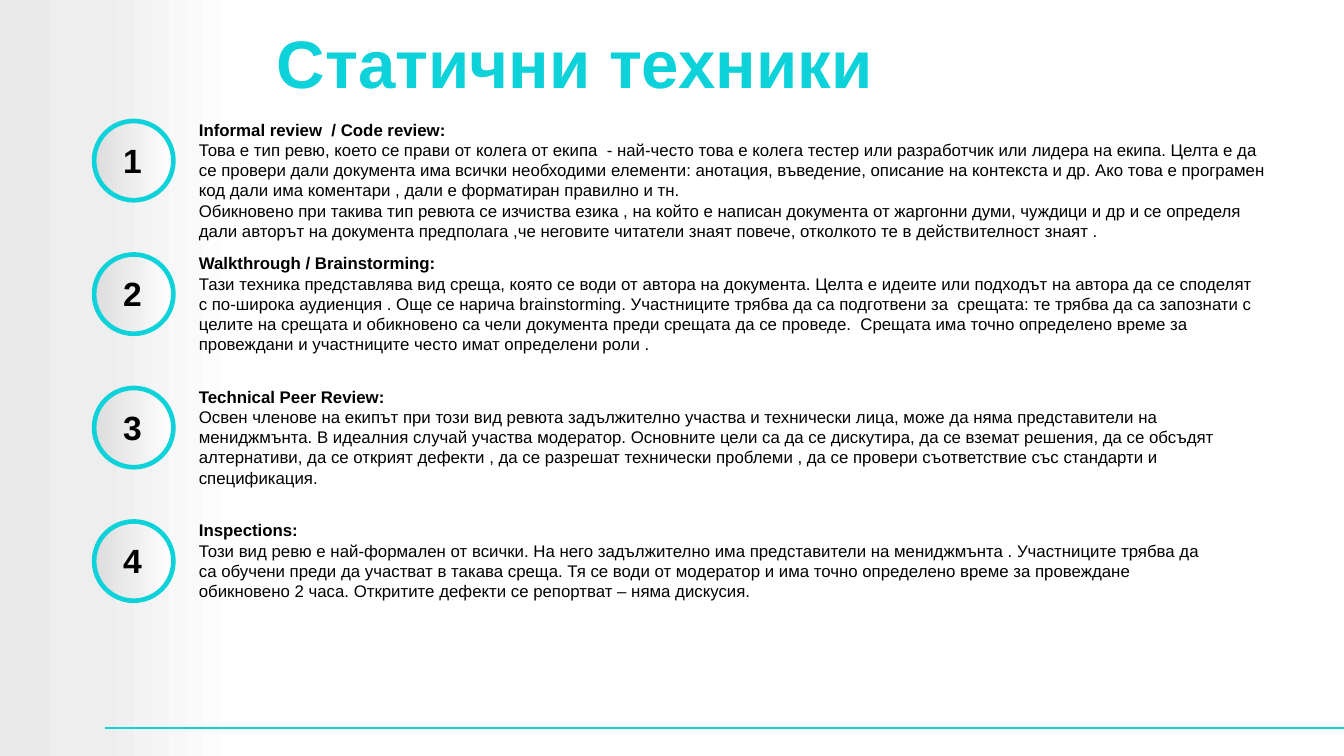
import pptx
import pptx.util
import pptx.dml.color
import pptx.enum.shapes
import pptx.enum.text
import pptx.oxml.ns
from lxml import etree

TITLE = "Статични техники"
TECHNIQUES = [
    ("Informal review  / Code review:", [
        "Това е тип ревю, което се прави от колега от екипа  - най-често това е колега тестер или разработчик или лидера на екипа. Целта е да се провери дали документа има всички необходими елементи: анотация, въведение, описание на контекста и др. Ако това е програмен код дали има коментари , дали е форматиран правилно и тн.",
        "Обикновено при такива тип ревюта се изчиства езика , на който е написан документа от жаргонни думи, чуждици и др и се определя дали авторът на документа предполага ,че неговите читатели знаят повече, отколкото те в действителност знаят .",
    ]),
    ("Walkthrough / Brainstorming:", [
        "Тази техника представлява вид среща, която се води от автора на документа. Целта е идеите или подходът на автора да се споделят с по-широка аудиенция . Още се нарича brainstorming. Участниците трябва да са подготвени за  срещата: те трябва да са запознати с целите на срещата и обикновено са чели документа преди срещата да се проведе.  Срещата има точно определено време за провеждани и участниците често имат определени роли .",
    ]),
    ("Technical Peer Review:", [
        "Освен членове на екипът при този вид ревюта задължително участва и технически лица, може да няма представители на мениджмънта. В идеалния случай участва модератор. Основните цели са да се дискутира, да се вземат решения, да се обсъдят алтернативи, да се открият дефекти , да се разрешат технически проблеми , да се провери съответствие със стандарти и спецификация.",
    ]),
    ("Inspections:", [
        "Този вид ревю е най-формален от всички. На него задължително има представители на мениджмънта . Участниците трябва да са обучени преди да участват в такава среща. Тя се води от модератор и има точно определено време за провеждане обикновено 2 часа. Откритите дефекти се репортват – няма дискусия.",
    ]),
]
THEME = {
    "font": "Arial",
    "accent": "0DD2D9",
    "ink": "000000",
    "band": [(0, "EAEAEA"), (42, "EEEEEE"), (100, "FFFFFF")],
    "badge": [(0, "DDDDDD"), (100, "FFFFFF")],
    "title_size": 36,
    "number_size": 18,
    "body_size": 9,
}
WIDTH = 10
HEIGHT = WIDTH * 9 / 16
MARGIN = 0.05
FIRST_ROW, LAST_ROW = 0.84, 3.82
ROW_PITCH = (LAST_ROW - FIRST_ROW) / (len(TECHNIQUES) - 1)
BADGE_LEFT, BADGE_SIZE, BADGE_DROP = 0.7, 0.59, 0.06
NUMBER_LEFT, NUMBER_DROP = 0.84, 0.16
NUMBER_WIDTH, NUMBER_HEIGHT = 0.29, 0.38
TEXT_LEFT, TEXT_WIDTH, WIDTH_STEP = 1.43, 8.09, 0.16
TEXT_HEIGHTS = [0.93, 0.79, 0.93, 0.65]


def inches(*lengths):
    return [pptx.util.Inches(length) for length in lengths]


def color(name):
    return pptx.dml.color.RGBColor.from_string(THEME[name])


def add_text(shapes, area, paragraphs, size, ink="ink", bold_count=1,
             anchor="TOP", align="LEFT", indent=0):
    box = shapes.add_textbox(*inches(*area))
    frame = box.text_frame
    frame.word_wrap = True
    frame.vertical_anchor = pptx.enum.text.MSO_ANCHOR[anchor]
    frame.margin_left, frame.margin_right, frame.margin_top, frame.margin_bottom = inches(
        MARGIN + indent, MARGIN, MARGIN, MARGIN)
    for index, text in enumerate(paragraphs):
        para = frame.paragraphs[0] if index == 0 else frame.add_paragraph()
        para.alignment = pptx.enum.text.PP_ALIGN[align]
        span = para.add_run()
        span.text = text
        span.font.name = THEME["font"]
        span.font.size = pptx.util.Pt(THEME[size])
        span.font.bold = index < bold_count
        span.font.color.rgb = color(ink)
    return box


def add_gradient_shape(shapes, kind, area, stops):
    shape = shapes.add_shape(pptx.enum.shapes.MSO_SHAPE[kind], *inches(*area))
    shape.shadow.inherit = False
    shape.fill.gradient()
    shape.fill.gradient_angle = 0
    qn = pptx.oxml.ns.qn
    stop_list = shape.element.spPr.find(".//" + qn("a:gsLst"))
    for old_stop in list(stop_list):
        stop_list.remove(old_stop)
    for percent, value in THEME[stops]:
        stop = etree.SubElement(stop_list, qn("a:gs"), pos=str(percent * 1000))
        etree.SubElement(stop, qn("a:srgbClr"), val=value)
    shape.line.fill.background()
    return shape


def add_badge(page, number, top):
    group = page.shapes.add_group_shape()
    circle = add_gradient_shape(
        group.shapes, "OVAL", (BADGE_LEFT, top + BADGE_DROP, BADGE_SIZE, BADGE_SIZE), "badge")
    circle.line.color.rgb = color("accent")
    circle.line.width = pptx.util.Pt(2.5)
    area = (NUMBER_LEFT, top + NUMBER_DROP, NUMBER_WIDTH, NUMBER_HEIGHT)
    add_text(group.shapes, area, [str(number)], "number_size",
             anchor="MIDDLE", align="CENTER")


def add_footer_line(page):
    line = page.shapes.add_connector(
        pptx.enum.shapes.MSO_CONNECTOR.STRAIGHT, *inches(0.78, 5.42, WIDTH, 5.42))
    line.line.color.rgb = color("accent")
    line.line.width = pptx.util.Pt(1)
    etree.SubElement(line.element.spPr, pptx.oxml.ns.qn("a:effectLst"))


def main():
    deck = pptx.Presentation()
    deck.slide_width, deck.slide_height = inches(WIDTH, HEIGHT)
    page = deck.slides.add_slide(deck.slide_layouts[6])
    add_gradient_shape(page.shapes, "RECTANGLE", (0, 0, 1.77, HEIGHT), "band")
    add_footer_line(page)
    add_text(page.shapes, (1.73, 0.03, 8.27, 0.85), [TITLE], "title_size",
             ink="accent", anchor="MIDDLE", indent=0.28)
    for row, (heading, details) in enumerate(TECHNIQUES):
        top = FIRST_ROW + row * ROW_PITCH
        add_badge(page, row + 1, top)
        area = (TEXT_LEFT, top, TEXT_WIDTH - row * WIDTH_STEP, TEXT_HEIGHTS[row])
        add_text(page.shapes, area, [heading, *details], "body_size")
    deck.save("out.pptx")


if __name__ == "__main__":
    main()
